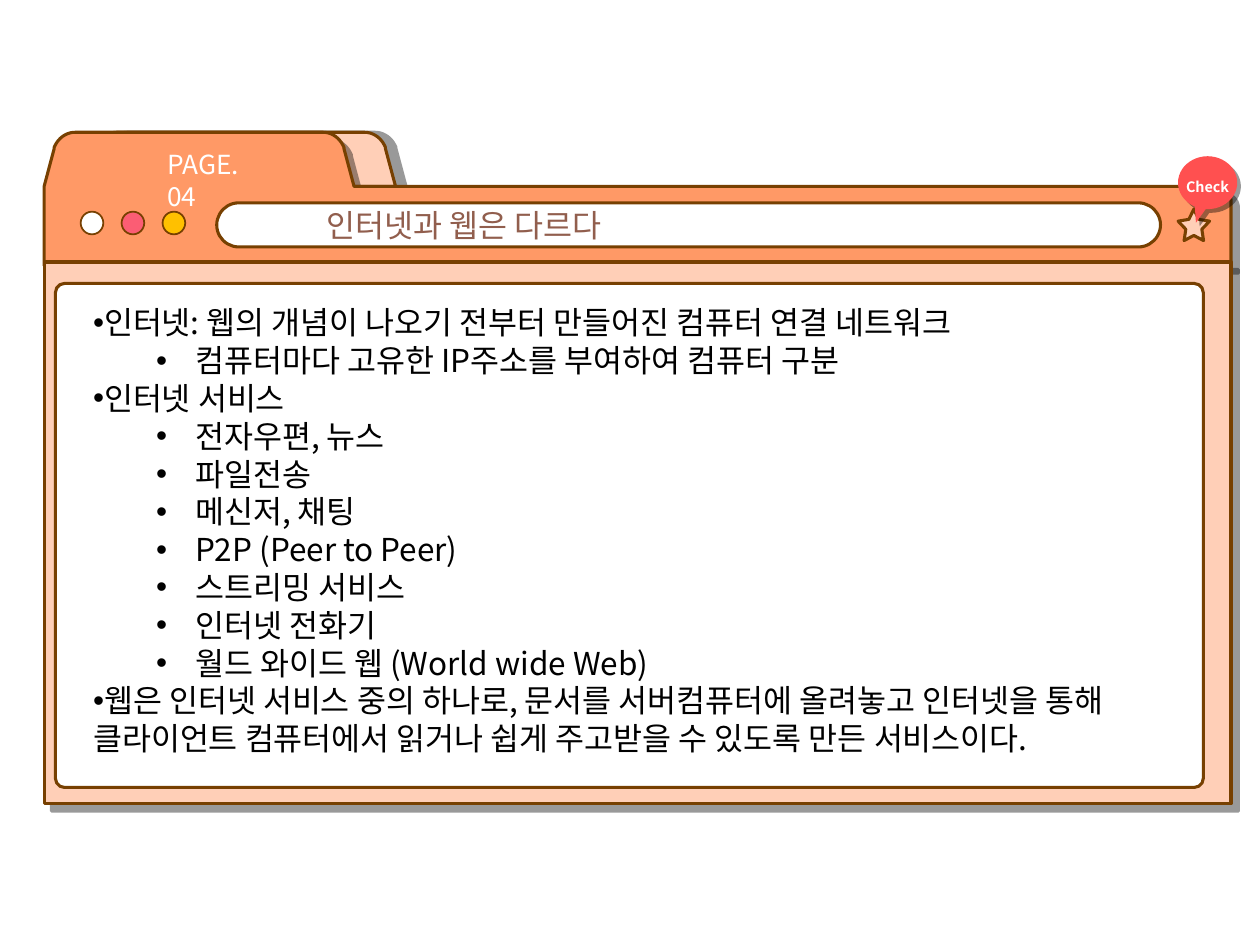
from dataclasses import dataclass

from lxml import etree
from pptx import Presentation
from pptx.dml.color import RGBColor
from pptx.enum import shapes, text
from pptx.oxml import ns
from pptx.util import Inches, Pt

SHAPE = shapes.MSO_SHAPE


@dataclass(frozen=True)
class Theme:
    outline: str = "774001"
    orange: str = "FF9966"
    peach: str = "FFCFB7"
    white: str = "FFFFFF"
    pink: str = "FB5D74"
    yellow: str = "FFC000"
    red: str = "FF5050"
    title: str = "915E4D"
    ink: str = "000000"
    font: str = "Noto Sans CJK KR"
    body_size: float = 18
    page_size: float = 15
    badge_size: float = 8.2
    thick: float = 1.75
    thin: float = 1


THEME = Theme()

BODY = [
    (0, "인터넷: 웹의 개념이 나오기 전부터 만들어진 컴퓨터 연결 네트워크"),
    (1, "컴퓨터마다 고유한 IP주소를 부여하여 컴퓨터 구분"),
    (0, "인터넷 서비스"),
    (1, "전자우편, 뉴스"),
    (1, "파일전송"),
    (1, "메신저, 채팅"),
    (1, "P2P (Peer to Peer)"),
    (1, "스트리밍 서비스"),
    (1, "인터넷 전화기"),
    (1, "월드 와이드 웹 (World wide Web)"),
    (0, "웹은 인터넷 서비스 중의 하나로, 문서를 서버컴퓨터에 올려놓고 인터넷을 통해 "
        "클라이언트 컴퓨터에서 읽거나 쉽게 주고받을 수 있도록 만든 서비스이다."),
]


def style(shape, fill, line=THEME.outline, width=THEME.thick, shadow=None):
    """Set fill and line; shadow is (distance in points, angle in degrees)."""
    shape.fill.solid()
    shape.fill.fore_color.rgb = RGBColor.from_string(fill)
    if line:
        shape.line.color.rgb = RGBColor.from_string(line)
        shape.line.width = Pt(width)
    else:
        shape.line.fill.background()
    shape.shadow.inherit = False
    if shadow:
        distance, angle = shadow
        effects = shape.element.spPr.find(ns.qn("a:effectLst"))
        outer = etree.SubElement(
            effects, ns.qn("a:outerShdw"), blurRad="0", dist=str(Pt(distance)),
            dir=str(angle * 60000), algn="tl", rotWithShape="0")
        color = etree.SubElement(outer, ns.qn("a:srgbClr"), val="000000")
        etree.SubElement(color, ns.qn("a:alpha"), val="40000")


def add_preset(slide, kind, box, fill, adjustments=(), **look):
    shape = slide.shapes.add_shape(kind, *map(Inches, box))
    for index, value in enumerate(adjustments):
        shape.adjustments[index] = value
    style(shape, fill, **look)
    return shape


def set_font(font, size, color, bold=None):
    font.name, font.size, font.bold = THEME.font, Pt(size), bold
    font.color.rgb = RGBColor.from_string(color)


def indent(paragraph, margin, first):
    properties = paragraph._p.get_or_add_pPr()
    properties.set("marL", str(Inches(margin)))
    properties.set("indent", str(Inches(first)))
    return properties


def curve(start, control1, control2, end, steps=10):
    """Points of a cubic Bezier curve, both ends included."""
    points = []
    for step in range(steps + 1):
        t = step / steps
        weights = ((1 - t) ** 3, 3 * t * (1 - t) ** 2, 3 * t * t * (1 - t), t ** 3)
        points.append(tuple(
            sum(w * p[axis] for w, p in zip(weights, (start, control1, control2, end)))
            for axis in (0, 1)))
    return points


def tab_outline(left, top, width=2.46, height=0.43):
    """Rounded tab, from its bottom left corner to its bottom right one."""
    shoulder = [(0, height), (0.08, 0.13)]
    shoulder += curve((0.08, 0.12), (0.11, 0.05), (0.17, 0), (0.25, 0))
    mirrored = [(width - x, y) for x, y in reversed(shoulder)]
    return [(left + x, top + y) for x, y in shoulder + mirrored]


def add_outline(slide, points, fill, shadow):
    points = [(Inches(x), Inches(y)) for x, y in points]
    builder = slide.shapes.build_freeform(*points[0], scale=1.0)
    builder.add_line_segments(points[1:], close=True)
    style(builder.convert_to_shape(), fill, shadow=shadow)


def add_tabs(slide, left, top, width, height):
    """Back tab, and front tab joined to the toolbar."""
    add_outline(slide, tab_outline(left + 0.33, top), THEME.peach, (6, 0))
    right, bar, bottom = left + width, top + 0.43, top + height
    corner = curve((right - 0.1, bar), (right - 0.05, bar),
                   (right, bar + 0.05), (right, bar + 0.11))
    front = tab_outline(left, top) + corner + [(right, bottom), (left, bottom)]
    add_outline(slide, front, THEME.orange, (6, 45))


def add_toolbar(slide, left, top):
    """Address bar, page number, star and window buttons."""
    address = add_preset(slide, SHAPE.ROUNDED_RECTANGLE,
                         (left + 1.37, top + 0.56, 7.49, 0.35), THEME.white, [0.5])
    address.text_frame.vertical_anchor = text.MSO_ANCHOR.MIDDLE
    address.text_frame.text = "인터넷과 웹은 다르다"
    title = address.text_frame.paragraphs[0]
    title.alignment = text.PP_ALIGN.LEFT
    title.level = 1
    indent(title, 0.72, 0)
    set_font(title.font, THEME.body_size, THEME.title)

    page = slide.shapes.add_textbox(
        *map(Inches, (left + 0.88, top + 0.07, 0.98, 0.35))).text_frame
    page.word_wrap = True
    page.text = "PAGE. 04"
    page.paragraphs[0].line_spacing = Pt(18.3)
    set_font(page.paragraphs[0].font, THEME.page_size, THEME.white)

    add_preset(slide, SHAPE.STAR_5_POINT, (left + 9, top + 0.61, 0.25, 0.25),
               THEME.peach, [0.255])
    for index, fill in enumerate((THEME.white, THEME.pink, THEME.yellow)):
        add_preset(slide, SHAPE.OVAL,
                   (left + 0.29 + 0.325 * index, top + 0.63, 0.18, 0.18),
                   fill, width=THEME.thin)


def add_window(slide, left, top, width, height):
    add_preset(slide, SHAPE.RECTANGLE, (left, top, width, height),
               THEME.peach, shadow=(6, 45))
    add_preset(slide, SHAPE.ROUNDED_RECTANGLE,
               (left + 0.09, top + 0.17, width - 0.31, height - 0.3),
               THEME.white, [0.018])


def add_badge(slide, *box):
    badge = add_preset(slide, SHAPE.OVAL_CALLOUT, box, THEME.red,
                       [-0.197, 0.756], line=None, shadow=(3, 45))
    frame = badge.text_frame
    frame.word_wrap = False
    frame.vertical_anchor = text.MSO_ANCHOR.MIDDLE
    frame.text = "Check"
    label = frame.paragraphs[0]
    label.alignment = text.PP_ALIGN.CENTER
    label.line_spacing = 1.5
    set_font(label.font, THEME.badge_size, THEME.white, bold=True)


def add_body(slide, *box):
    frame = slide.shapes.add_textbox(*map(Inches, box)).text_frame
    frame.word_wrap = True
    for index, (level, words) in enumerate(BODY):
        paragraph = frame.add_paragraph() if index else frame.paragraphs[0]
        paragraph.text = words
        paragraph.level = level
        paragraph.line_spacing = Pt(21.6)
        properties = indent(paragraph, *((0.81, -0.31) if level else (0, 0)))
        etree.SubElement(properties, ns.qn("a:buFont"), typeface="Arial")
        etree.SubElement(properties, ns.qn("a:buChar"), char="•")
        set_font(paragraph.font, THEME.body_size, THEME.ink)


def main():
    deck = Presentation()
    deck.slide_width, deck.slide_height = Inches(10), Inches(7.5)
    slide = deck.slides.add_slide(deck.slide_layouts[6])
    add_tabs(slide, 0.35, 1.05, 9.42, 1.06)
    add_toolbar(slide, 0.35, 1.05)
    add_window(slide, 0.35, 2.08, 9.42, 4.3)
    add_badge(slide, 9.35, 1.24, 0.47, 0.42)
    add_body(slide, 0.64, 2.36, 8.62, 4.04)
    deck.save("out.pptx")


if __name__ == "__main__":
    main()
